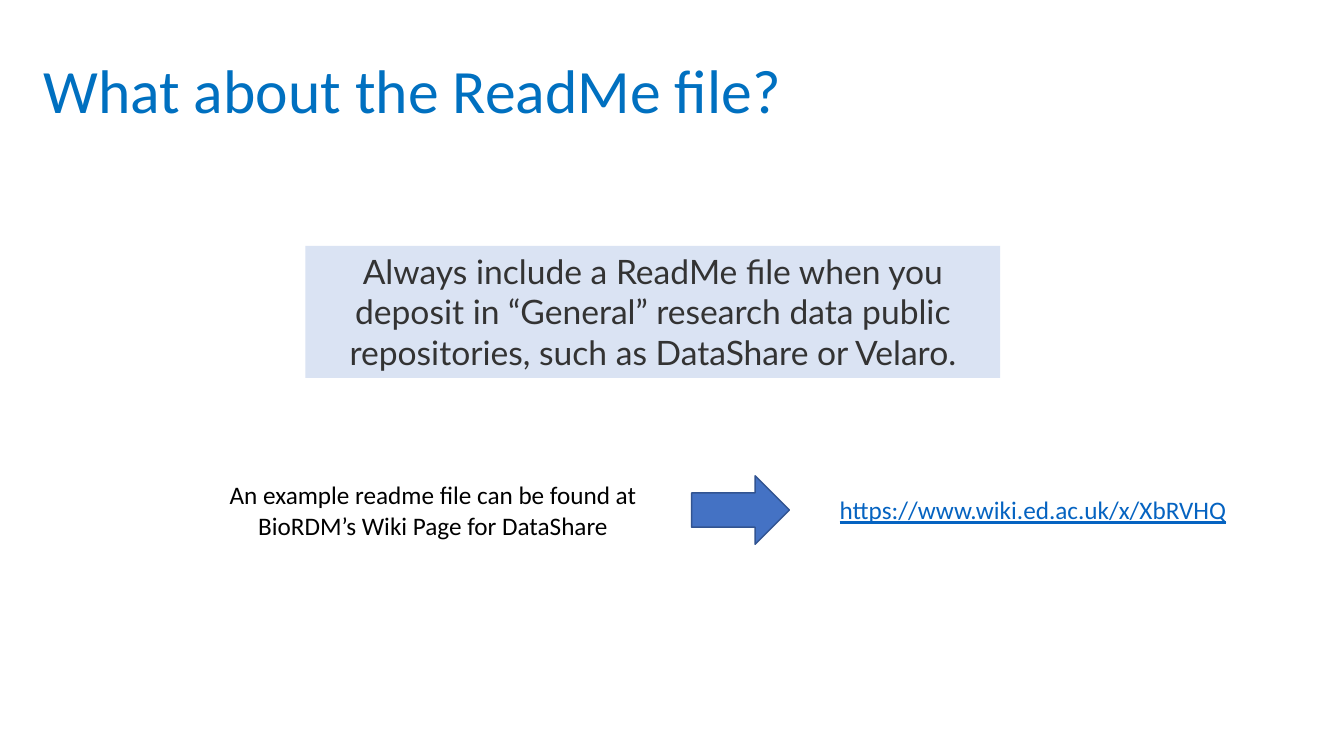
from pptx import Presentation
from pptx.dml.color import RGBColor
from pptx.enum.shapes import MSO_SHAPE as SHAPE
from pptx.enum.text import MSO_ANCHOR as ANCHOR, MSO_AUTO_SIZE as AUTO, PP_ALIGN as ALIGN
from pptx.util import Pt

EMU_PER_PX = 9144  # 100 px to the inch

TITLE_BLUE = RGBColor(0x00, 0x70, 0xC0)
PALE_BLUE = RGBColor(0xDA, 0xE3, 0xF3)
LINK_BLUE = RGBColor(0x05, 0x63, 0xC1)
ARROW_BLUE = RGBColor(0x44, 0x72, 0xC4)
ARROW_EDGE = RGBColor(0x32, 0x54, 0x91)
DARK_GREY = RGBColor(0x33, 0x33, 0x33)
BLACK = RGBColor(0x00, 0x00, 0x00)


def px(*lengths):
    return [n * EMU_PER_PX for n in lengths]


def write(sp, lines, size, color, font="Calibri", align=ALIGN.LEFT,
          anchor=ANCHOR.TOP, wrap=True, underline=False, spacing=None):
    """Fill a shape with one paragraph per line, all in the same style."""
    tf = sp.text_frame
    tf.text = "\n".join(lines)
    tf.word_wrap = wrap
    tf.auto_size = AUTO.NONE
    tf.vertical_anchor = anchor
    for p in tf.paragraphs:
        p.alignment = align
        p.line_spacing = spacing
        p.font.size = Pt(size)
        p.font.name = font
        p.font.color.rgb = color
        p.font.underline = underline


def set_title(s, box, text):
    sp = s.shapes.title
    sp.left, sp.top, sp.width, sp.height = px(*box)
    write(sp, [text], 44, TITLE_BLUE, anchor=ANCHOR.MIDDLE, spacing=0.9)


def add_text(s, box, lines, color, **style):
    write(s.shapes.add_textbox(*px(*box)), lines, 18, color, **style)


def add_filled(s, kind, box, fill, edge=None):
    sp = s.shapes.add_shape(kind, *px(*box))
    sp.shadow.inherit = False
    sp.fill.solid()
    sp.fill.fore_color.rgb = fill
    if edge is None:
        sp.line.fill.background()
    else:
        sp.line.color.rgb = edge
        sp.line.width = Pt(1)
    return sp


def main():
    prs = Presentation()
    prs.slide_width, prs.slide_height = px(1333, 750)
    s = prs.slides.add_slide(prs.slide_layouts[5])

    set_title(s, (33, 20, 1150, 145), "What about the ReadMe file?")

    advice = add_filled(s, SHAPE.RECTANGLE, (303, 244, 689, 131), PALE_BLUE)
    write(advice, ["Always include a ReadMe file when you deposit in “General” "
                   "research data public repositories, such as DataShare or Velaro."],
          24, DARK_GREY, font="Lato", align=ALIGN.CENTER)

    add_text(s, (823, 486, 666, 40), ["https://www.wiki.ed.ac.uk/x/XbRVHQ"],
             LINK_BLUE, underline=True)
    add_text(s, (212, 471, 435, 71),
             ["An example readme file can be found at",
              "BioRDM’s Wiki Page for DataShare"],
             BLACK, align=ALIGN.CENTER, wrap=False)
    add_filled(s, SHAPE.RIGHT_ARROW, (686, 472, 97, 68), ARROW_BLUE, ARROW_EDGE)

    prs.save("out.pptx")


if __name__ == "__main__":
    main()
